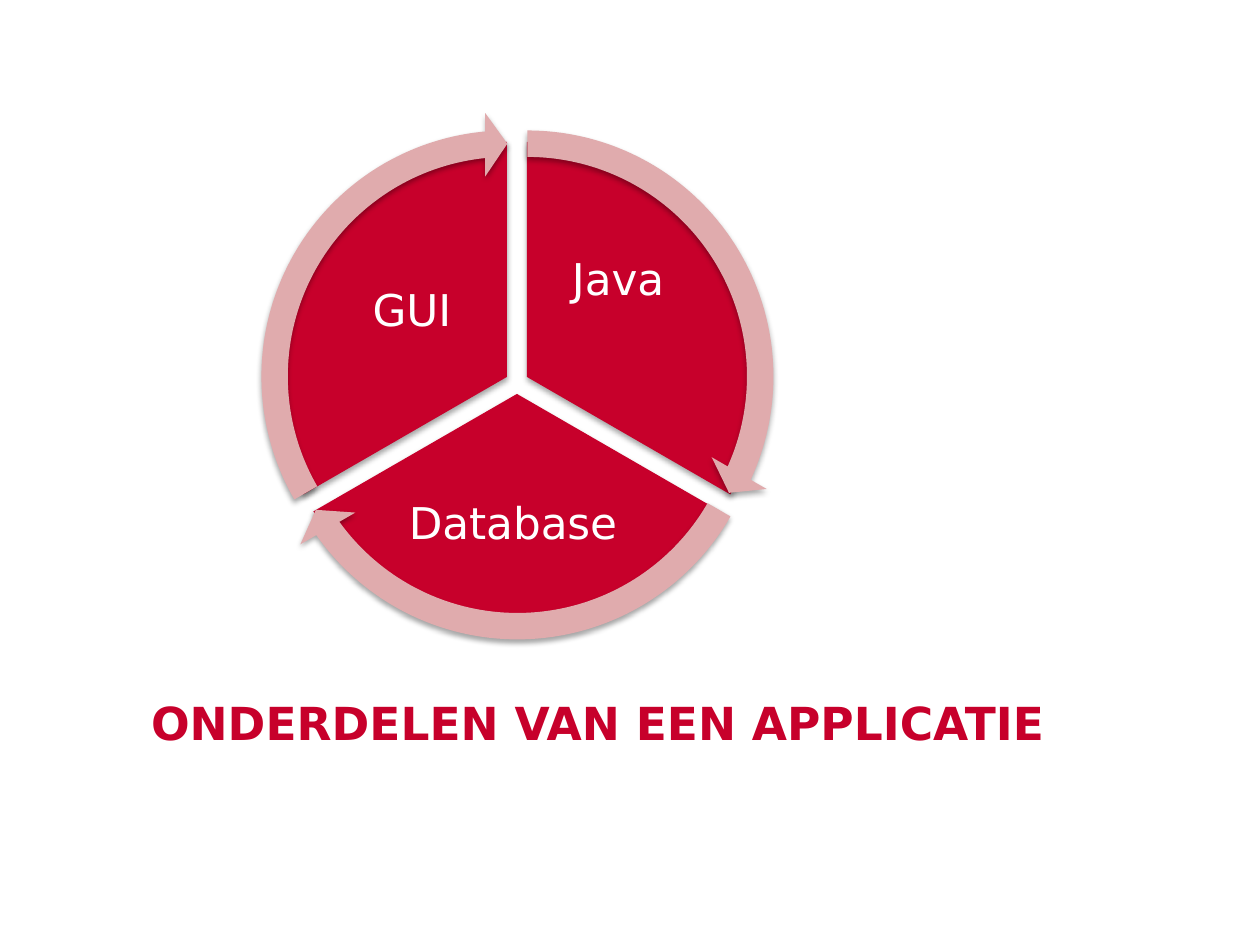
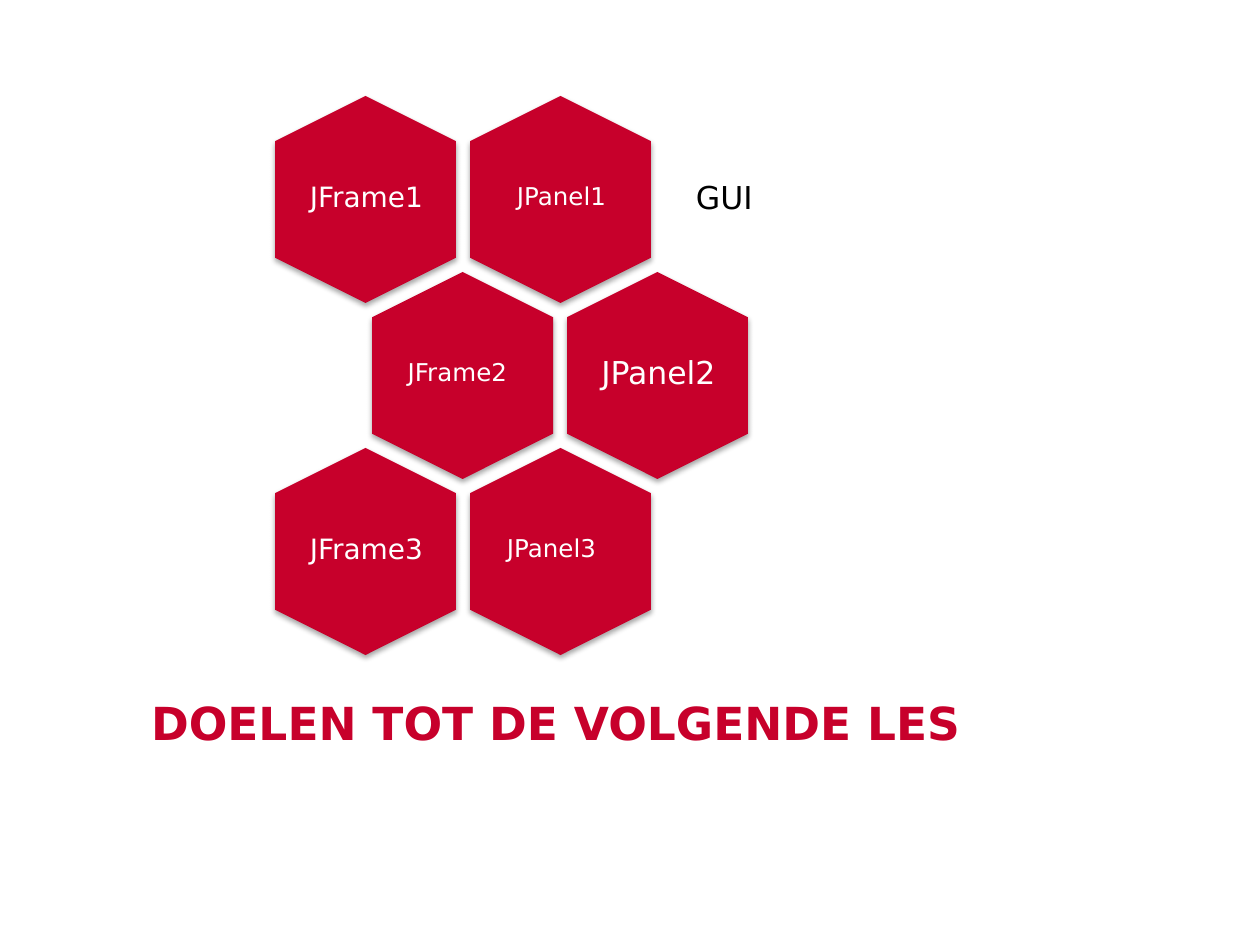
from pptx import Presentation
from pptx.dml.color import RGBColor
from pptx.enum.shapes import MSO_SHAPE as SHAPE
from pptx.enum.text import MSO_ANCHOR as ANCHOR, MSO_AUTO_SIZE as AUTO, PP_ALIGN as ALIGN
from pptx.oxml import parse_xml
from pptx.oxml.ns import nsdecls, qn
from pptx.util import Pt

PX = 7257  # EMU per px, 126 px to the inch
FONT = "DejaVu Sans"
COLORS = {"red": "C7002B", "pink": "E0ABAD", "white": "FFFFFF", "black": "000000"}
SHADOW = (
    f'<a:outerShdw {nsdecls("a")} blurRad="40000" dist="23000" dir="5400000" rotWithShape="0">'
    f'<a:srgbClr val="{COLORS["black"]}"><a:alpha val="35000"/></a:srgbClr></a:outerShdw>'
)


def add_figure(s, kind, box, color, adjustments):
    """Add a borderless preset shape with a soft shadow below it."""
    sp = s.shapes.add_shape(kind, *[v * PX for v in box])
    for i, value in enumerate(adjustments):
        sp.adjustments[i] = value
    sp.fill.solid()
    sp.fill.fore_color.rgb = RGBColor.from_string(COLORS[color])
    sp.line.fill.background()
    sp.shadow.inherit = False
    sp._element.spPr.find(qn("a:effectLst")).append(parse_xml(SHADOW))
    return sp


def add_label(s, text, box, size, insets, color="white", align=ALIGN.CENTER):
    """Add a vertically centred text box; insets are left, top, right, bottom."""
    tf = s.shapes.add_textbox(*[v * PX for v in box]).text_frame
    tf.word_wrap = True
    tf.vertical_anchor = ANCHOR.MIDDLE
    tf.margin_left, tf.margin_top, tf.margin_right, tf.margin_bottom = [v * PX for v in insets]
    p = tf.paragraphs[0]
    p.alignment = align
    p.line_spacing = 0.9
    r = p.add_run()
    r.text = text
    r.font.size = Pt(size)
    r.font.name = FONT
    r.font.color.rgb = RGBColor.from_string(COLORS[color])


prs = Presentation()
prs.slide_width, prs.slide_height = 1260 * PX, 945 * PX

# Slides with their titles
slides = []
for title in ("ONDERDELEN VAN EEN APPLICATIE", "DOELEN TOT DE VOLGENDE LES"):
    s = prs.slides.add_slide(prs.slide_layouts[5])
    sp = s.shapes.title
    sp.left, sp.top, sp.width, sp.height = 151 * PX, 701 * PX, 958 * PX, 49 * PX
    tf = sp.text_frame
    tf.auto_size = AUTO.NONE
    tf.word_wrap = True
    tf.vertical_anchor = ANCHOR.TOP
    tf.margin_left = tf.margin_top = tf.margin_right = tf.margin_bottom = 0
    p = tf.paragraphs[0]
    p.alignment = ALIGN.LEFT
    p.line_spacing = Pt(28)
    r = p.add_run()
    r.text = title
    r.font.size = Pt(26)
    r.font.bold = True
    r.font.name = FONT
    r.font.color.rgb = RGBColor.from_string(COLORS["red"])
    slides.append(s)
wheel, goals = slides

# Wheel of three sectors; a full turn is 216 adjustment units
TURN, SECTOR, HEAD = 216, 72, 3.28
sectors = [  # offset from the hub, label, label box, label insets
    (10, 0, "Java", (541, 242, 168, 140), (4, 4, 18, 66)),
    (0, 17, "Database", (394, 464, 252, 123), (4, 4, 18, 4)),
    (-10, 0, "GUI", (328, 242, 168, 140), (4, 4, 4, 4)),
]
starts = [(162 + SECTOR * k) % TURN for k in range(len(sectors))]
for start, (dx, dy, text, box, insets) in zip(starts, sectors):
    end = (start + SECTOR) % TURN
    add_figure(wheel, SHAPE.PIE, (282 + dx, 142 + dy, 470, 470), "red", (start, end))
    add_label(wheel, text, box, 25, insets)
for start, (dx, dy, *_) in zip(starts, sectors):
    end = (start + SECTOR) % TURN
    add_figure(wheel, SHAPE.CIRCULAR_ARROW, (253 + dx, 112 + dy, 529, 529), "pink",
               (0.05, HEAD, end - HEAD, start, 0.06))

# Honeycomb of goals: every second row moves half a step to the right
STEP_X, STEP_Y, SHIFT = 195, 176, 97
EVEN = (8, 8, 8, 8)
FLUSH = (0, 0, 0, 0)
rows = [
    [("JFrame1", 16, FLUSH, ALIGN.CENTER), ("JPanel1", 14, EVEN, ALIGN.CENTER)],
    [("JFrame2", 14, (2, 8, 14, 8), ALIGN.CENTER), ("JPanel2", 18, FLUSH, ALIGN.CENTER)],
    [("JFrame3", 16, FLUSH, ALIGN.CENTER), ("JPanel3", 14, EVEN, ALIGN.LEFT)],
]
for i, row in enumerate(rows):
    for j, (text, size, insets, align) in enumerate(row):
        x = 262 + STEP_X * j + SHIFT * (i % 2)
        y = 109 + STEP_Y * i
        hexagon = add_figure(goals, SHAPE.HEXAGON, (x, y, 207, 181), "red", (0.25,))
        hexagon.rotation = 90
        add_label(goals, text, (x + 42, y + 18, 125, 142), size, insets, align=align)
add_label(goals, "GUI", (656, 137, 232, 125), 18, (40, 9, 9, 9), "black", ALIGN.LEFT)

prs.save("out.pptx")
